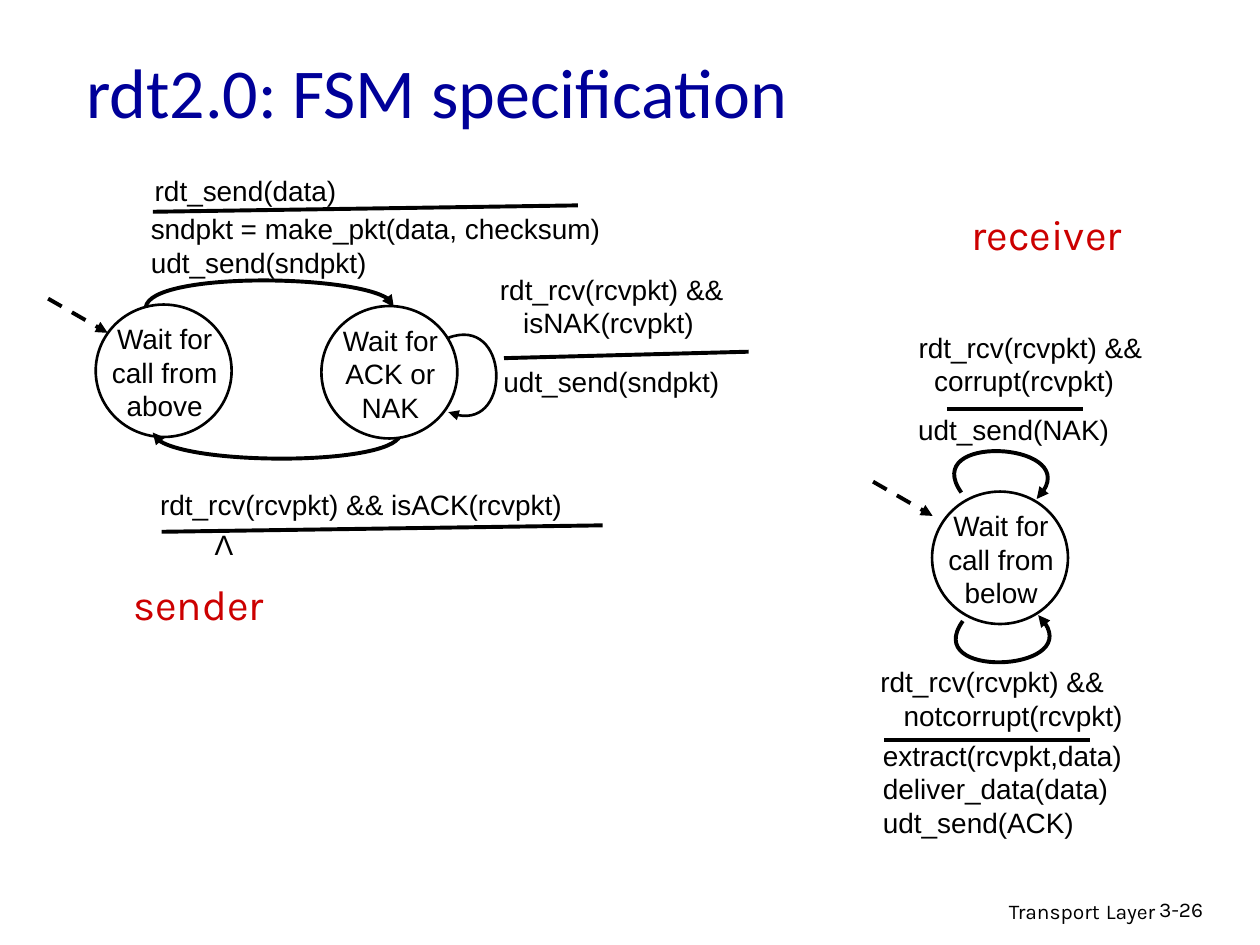
from lxml import etree
from pptx import Presentation
from pptx import util as u
from pptx.dml.color import RGBColor
from pptx.enum import dml, shapes, text
from pptx.oxml.ns import qn

COLORS = {"black": "000000", "white": "FFFFFF", "title": "000099", "role": "CC0000"}


def rgb(name):
    return RGBColor.from_string(COLORS[name])


def add_text(p, content, font="Arial", size=16, color="black"):
    r = p.add_run()
    r.text = content
    r.font.name = font
    r.font.size = u.Pt(size)
    r.font.color.rgb = rgb(color)


class FsmSlide:
    """Style and elements of a state machine slide; lengths in cm."""

    THIN, THICK = 1.5, 2.25
    STATE_W, STATE_H, LABEL_W = 2.74, 2.67, 3.33

    def __init__(self, prs):
        self.s = prs.slides.add_slide(prs.slide_layouts[6])

    def text(self, x, y, w, h, *lines, align="LEFT", anchor="TOP", wrap=True, **fmt):
        """Each line is a string or a list of (string, size) pairs."""
        sp = self.s.shapes.add_textbox(u.Cm(x), u.Cm(y), u.Cm(w), u.Cm(h))
        tf = sp.text_frame
        tf.word_wrap = wrap
        tf.vertical_anchor = text.MSO_ANCHOR[anchor]
        for i, line in enumerate(lines):
            p = tf.add_paragraph() if i else tf.paragraphs[0]
            p.alignment = text.PP_ALIGN[align]
            if isinstance(line, str):
                add_text(p, line, **fmt)
            else:
                for content, size in line:
                    add_text(p, content, size=size, **fmt)

    def stroke(self, sp, width, dashed=False, arrow=None):
        """Arrow is None, "headEnd" (at the start) or "tailEnd" (at the end)."""
        sp.line.color.rgb = rgb("black")
        sp.line.width = u.Pt(width)
        if dashed:
            sp.line.dash_style = dml.MSO_LINE.DASH
        if arrow:
            ln = sp.line._get_or_add_ln()
            etree.SubElement(ln, qn("a:" + arrow), type="triangle")

    def line(self, x1, y1, x2, y2, **kw):
        sp = self.s.shapes.add_connector(
            shapes.MSO_CONNECTOR.STRAIGHT, u.Cm(x1), u.Cm(y1), u.Cm(x2), u.Cm(y2))
        self.stroke(sp, self.THICK, **kw)
        etree.SubElement(sp._element.spPr, qn("a:effectLst"))

    def start_arrow(self, x, y):
        self.line(x, y, x + 1.2, y + 0.69, dashed=True, arrow="tailEnd")

    def transition(self, *points, width=THICK, arrow="tailEnd"):
        """Cubic curve: start, two control points, end."""
        start, *rest = [(u.Cm(x), u.Cm(y)) for x, y in points]
        fb = self.s.shapes.build_freeform(*start)
        fb.add_line_segments(rest, close=False)
        sp = fb.convert_to_shape()
        # Merge the three straight segments into one Bezier segment
        segments = list(sp._element.spPr.iter(qn("a:lnTo")))
        curve = etree.SubElement(segments[0].getparent(), qn("a:cubicBezTo"))
        for segment in segments:
            curve.append(segment[0])
            segment.getparent().remove(segment)
        sp.shadow.inherit = False
        sp.fill.background()
        self.stroke(sp, width, arrow=arrow)

    def state(self, x, y, label):
        sp = self.s.shapes.add_shape(shapes.MSO_SHAPE.OVAL, u.Cm(x), u.Cm(y),
                                     u.Cm(self.STATE_W), u.Cm(self.STATE_H))
        sp.shadow.inherit = False
        sp.fill.solid()
        sp.fill.fore_color.rgb = rgb("white")
        self.stroke(sp, self.THIN)
        left = x + (self.STATE_W - self.LABEL_W) / 2 + 0.02
        self.text(left, y + 0.22, self.LABEL_W, 1.7, label, align="CENTER")

    def role(self, x, y, w, name):
        self.text(x, y, w, 1.27, name, align="CENTER", wrap=False,
                  font="Karla", size=24, color="role")


def main():
    prs = Presentation()
    prs.slide_width, prs.slide_height = u.Cm(25.4), u.Cm(19.05)
    fsm = FsmSlide(prs)

    # Footer and title
    fsm.text(15.49, 17.91, 8.05, 0.79,
             [("Transport", 12), (" ", 14), ("Layer", 12)], align="RIGHT", font="Karla")
    fsm.text(23.12, 17.95, 1.88, 0.76, "3-26", font="Karla", size=12)
    fsm.text(1.49, 0.38, 21.59, 2.87, "rdt2.0: FSM specification",
             anchor="MIDDLE", font="Calibri", size=40, color="title")

    # Sender: first state
    fsm.state(1.93, 6.14, "Wait for call from above")
    fsm.start_arrow(0.97, 6.02)

    # Sender: send data
    fsm.text(2.87, 3.38, 6.27, 1.19, "rdt_send(data)")
    fsm.line(3.08, 4.27, 11.65, 4.14)
    fsm.text(2.79, 4.14, 10.11, 1.12,
             "sndpkt = make_pkt(data, checksum)", "udt_send(sndpkt)")
    fsm.transition((2.94, 6.19), (3.04, 5.48), (7.94, 5.53), (7.94, 6.19))

    # Sender: ACK received
    fsm.text(2.98, 9.7, 9.86, 0.79, "rdt_rcv(rcvpkt) && isACK(rcvpkt)")
    fsm.line(3.26, 10.72, 12.15, 10.59)
    fsm.text(4.07, 10.52, 0.89, 0.94, "Λ", align="CENTER", wrap=False)
    fsm.transition((3.08, 8.72), (3.18, 9.41), (8.08, 9.38), (8.08, 8.72),
                   arrow="headEnd")

    # Sender: NAK received
    fsm.text(9.83, 5.36, 5.79, 1.75, "rdt_rcv(rcvpkt) &&", "   isNAK(rcvpkt)")
    fsm.line(10.16, 7.22, 15.09, 7.09)
    fsm.text(9.9, 7.22, 4.9, 1.12, "udt_send(sndpkt)")
    fsm.transition((9.04, 6.81), (10.26, 6.35), (10.34, 8.84), (9.04, 8.31),
                   width=fsm.THIN)

    # Sender: second state, over the ends of its curves
    fsm.state(6.48, 6.17, "Wait for ACK or NAK")

    # Receiver: corrupt packet
    fsm.text(18.27, 6.53, 5.33, 0.86, "rdt_rcv(rcvpkt) &&", "  corrupt(rcvpkt)")
    fsm.line(19.09, 8.25, 21.84, 8.25)
    fsm.text(18.26, 8.2, 5.08, 0.71, "udt_send(NAK)")
    fsm.transition((19.38, 9.93), (18.54, 8.74), (22.02, 8.92), (20.9, 10.06))

    # Receiver: state
    fsm.start_arrow(17.6, 9.71)
    fsm.state(18.79, 9.91, "Wait for call from below")

    # Receiver: intact packet
    fsm.transition((19.41, 12.52), (18.57, 13.69), (22.07, 13.54), (20.93, 12.4))
    fsm.text(17.5, 13.28, 5.99, 1.96, "rdt_rcv(rcvpkt) &&", "   notcorrupt(rcvpkt)")
    fsm.line(17.83, 14.91, 21.97, 14.91)
    fsm.text(17.55, 14.76, 5.94, 1.73,
             "extract(rcvpkt,data)", "deliver_data(data)", "udt_send(ACK)")

    # Role names
    fsm.role(2.38, 11.53, 3.25, "sender")
    fsm.role(19.26, 4.07, 3.68, "receiver")

    prs.save("out.pptx")


if __name__ == "__main__":
    main()
